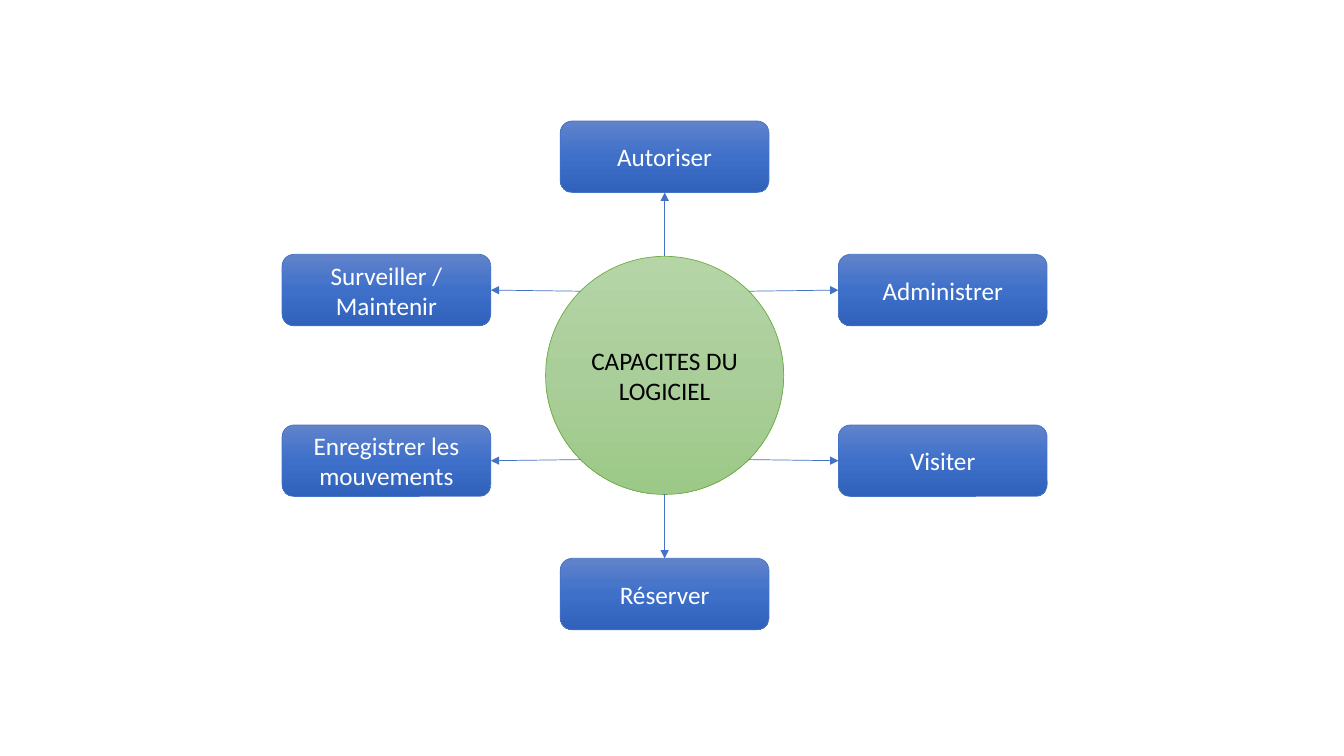
"""Build a slide showing the software's capabilities around a central circle."""
from copy import deepcopy
from math import sqrt

from lxml import etree
from pptx import Presentation
from pptx import util as u
from pptx.dml.color import RGBColor
from pptx.enum import shapes, text
from pptx.oxml.ns import qn

COLORS = {
    "box_top": "6183CB", "box_mid": "3E70CA", "box_end": "3062BB",
    "hub_top": "B5D5A7", "hub_mid": "AACE9A", "hub_end": "9CC987",
    "box_line": "4472C4", "hub_line": "70AD47",
    "box_text": "FFFFFF", "hub_text": "000000",
}
BOX_W, BOX_H, HUB_D = 5.26, 1.8, 6.0
ROW_DY = 2.15
CAPABILITIES = [
    ("Administrer", 1, -1),
    ("Autoriser", 0, -1),
    ("Surveiller / Maintenir", -1, -1),
    ("Enregistrer les mouvements", -1, 1),
    ("Réserver", 0, 1),
    ("Visiter", 1, 1),
]


def color(name):
    return RGBColor.from_string(COLORS[name])


def fill_gradient(sp, role):
    sp.fill.gradient()
    sp.fill.gradient_angle = 270
    first = sp._element.spPr.find(".//" + qn("a:gs"))
    first.addnext(deepcopy(first))
    parts = zip(sp.fill.gradient_stops, ("top", "mid", "end"), (0, 0.5, 1))
    for stop, part, position in parts:
        stop.color.rgb = color(f"{role}_{part}")
        stop.position = position


def add_node(s, kind, label, role, cx, cy, w, h):
    sp = s.shapes.add_shape(kind, u.Cm(cx - w / 2), u.Cm(cy - h / 2), u.Cm(w), u.Cm(h))
    sp.shadow.inherit = False
    fill_gradient(sp, role)
    sp.line.color.rgb = color(f"{role}_line")
    sp.line.width = u.Pt(0.5)
    tf = sp.text_frame
    tf.text = label
    tf.word_wrap = True
    tf.vertical_anchor = text.MSO_ANCHOR.MIDDLE
    p = tf.paragraphs[0]
    p.alignment = text.PP_ALIGN.CENTER
    r = p.runs[0]
    r.font.name = "Calibri"
    r.font.size = u.Pt(18)
    r.font.color.rgb = color(f"{role}_text")


def add_arrow(s, x1, y1, x2, y2):
    c = s.shapes.add_connector(
        shapes.MSO_CONNECTOR.STRAIGHT, u.Cm(x1), u.Cm(y1), u.Cm(x2), u.Cm(y2))
    c.line.color.rgb = color("box_line")
    c.line.width = u.Pt(0.5)
    etree.SubElement(c.line._get_or_add_ln(), qn("a:tailEnd"), type="triangle")
    etree.SubElement(c._element.spPr, qn("a:effectLst"))


def add_hub_diagram(s, left, top, width, height):
    cx, cy = left + width / 2, top + height / 2
    column_dx, pole_dy = (width - BOX_W) / 2, (height - BOX_H) / 2
    radius = HUB_D / 2
    diagonal = radius / sqrt(2)
    arrows = []
    for label, side, vertical in CAPABILITIES:
        x = cx + side * column_dx
        y = cy + vertical * (ROW_DY if side else pole_dy)
        add_node(s, shapes.MSO_SHAPE.ROUNDED_RECTANGLE, label, "box", x, y, BOX_W, BOX_H)
        if side:
            start = cx + side * diagonal, cy + vertical * diagonal
            end = x - side * BOX_W / 2, y
        else:
            start = cx, cy + vertical * radius
            end = x, y - vertical * BOX_H / 2
        arrows.append((*start, *end))
    add_node(s, shapes.MSO_SHAPE.OVAL, "CAPACITES DU LOGICIEL", "hub", cx, cy, HUB_D, HUB_D)
    for arrow in arrows:
        add_arrow(s, *arrow)


def main():
    prs = Presentation()
    prs.slide_width, prs.slide_height = u.Cm(33.87), u.Cm(19.05)
    s = prs.slides.add_slide(prs.slide_layouts[6])
    add_hub_diagram(s, 7.11, 3.05, 19.28, 12.82)
    prs.save("out.pptx")


if __name__ == "__main__":
    main()
